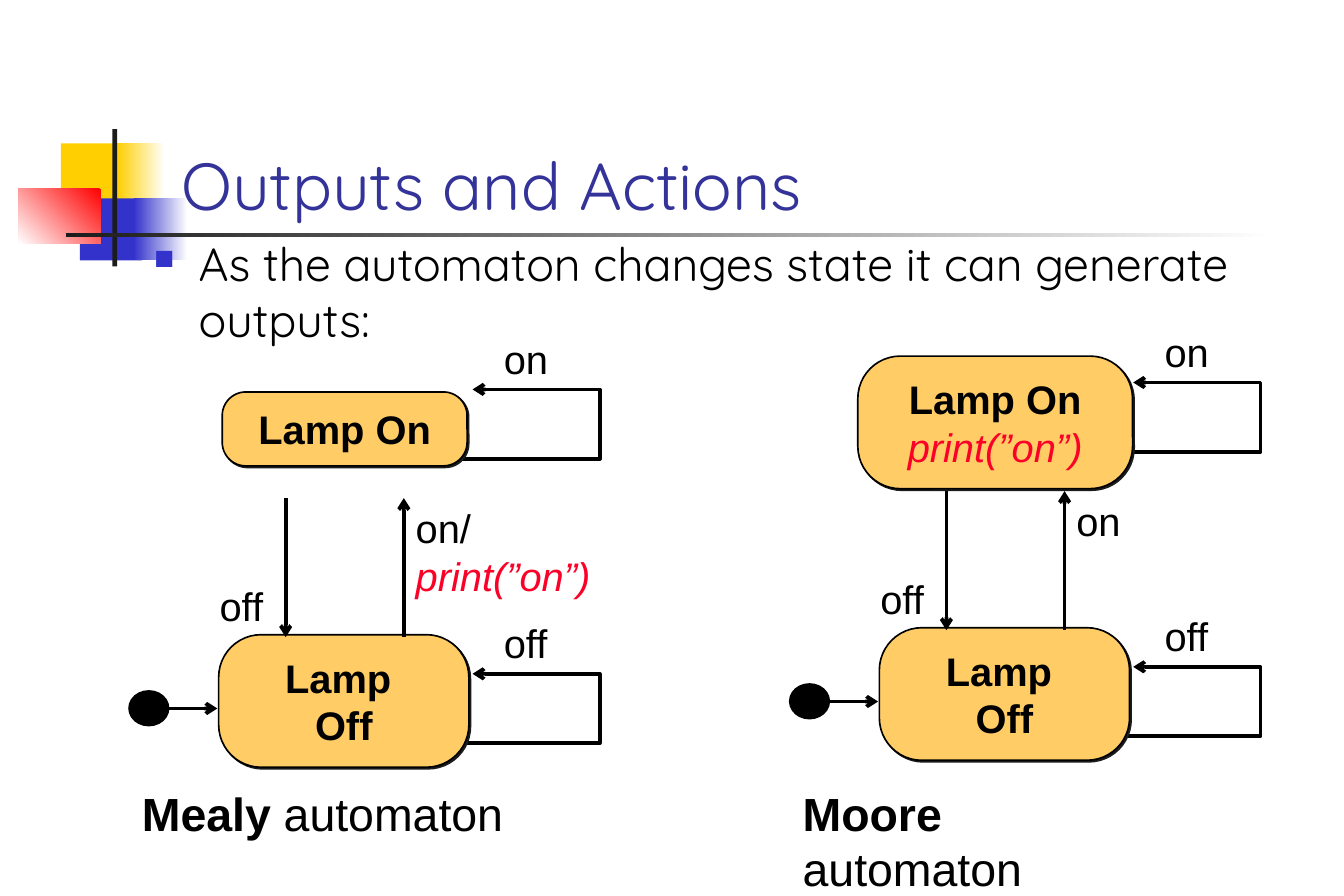
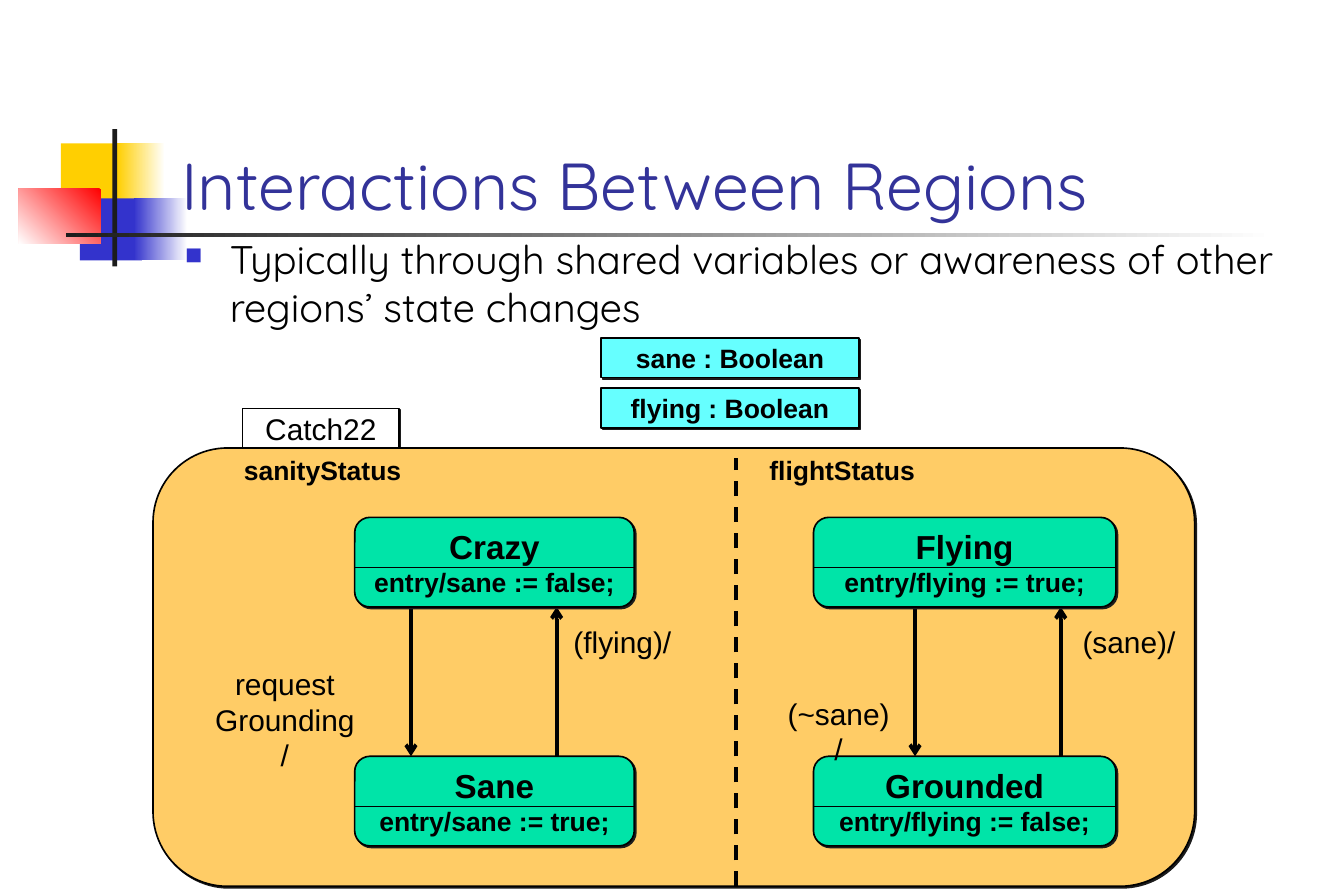
from dataclasses import dataclass
from typing import NamedTuple, Optional

from lxml.etree import SubElement
from pptx import Presentation
from pptx.dml.color import RGBColor
from pptx.enum.dml import MSO_LINE
from pptx.enum.shapes import MSO_CONNECTOR, MSO_SHAPE as SHAPE
from pptx.enum.text import MSO_ANCHOR as ANCHOR, PP_ALIGN as ALIGN
from pptx.oxml.ns import qn
from pptx.util import Pt

COLORS = {
    "black": "000000", "white": "FFFFFF", "ink": "1C1C1C",
    "yellow": "FFCF01", "blue": "3333CC", "red": "FF0000",
    "title": "333399", "state": "FFCC66", "output": "FC0128",
    "substate": "00E4A8", "variable": "66FFFF",
}
HEAD_FONT, LABEL_FONT = "Quicksand", "Arial"


class Run(NamedTuple):
    text: str
    size: float
    bold: bool = False
    italic: bool = False
    color: str = "black"
    font: str = LABEL_FONT


class Box(NamedTuple):
    x: float
    y: float
    w: float
    h: float

    def moved(self, dx: float, dy: float) -> "Box":
        return Box(self.x + dx, self.y + dy, self.w, self.h)

    def points(self) -> tuple:
        return tuple(Pt(v) for v in self)


class Band(NamedTuple):
    box: Box
    colors: tuple
    angle: float = 180


@dataclass
class Automaton:
    kind: str
    dx: float
    dy: float
    on_box: Box
    on_text: list
    switch_on: list


@dataclass
class Region:
    x: float
    width: float
    down_x: float
    states: tuple


class Label(NamedTuple):
    box: Box
    lines: tuple
    size: float = 18
    bold: bool = False


BANDS = [
    Band(Box(36.7, 86.4, 38.9, 37.4), ("yellow",)),
    Band(Box(70.6, 86.4, 28.8, 37.4), ("white", "yellow")),
    Band(Box(48.2, 119.5, 37.4, 37.4), ("blue",)),
    Band(Box(80.6, 119.5, 32.4, 37.4), ("white", "blue")),
    Band(Box(11.2, 113.8, 49.7, 33.1), ("red", "white"), 225),
    Band(Box(67.7, 77.8, 2.9, 82.8), ("ink",)),
    Band(Box(39.6, 140.4, 728.6, 2.2), ("white", "ink")),
]

AUTOMATA = [
    Automaton("Moore", 398.2, -4.2, Box(517, 214.6, 165.6, 79.9),
              [[Run("Lamp On", 24, True)],
               [Run("print(”on”)", 24, italic=True, color="output")]],
              [Run("on", 24)]),
    Automaton("Mealy", 0, 0, Box(133.9, 236.2, 147.6, 44.6),
              [[Run("Lamp On", 24, True)]],
              [Run("on/", 24), Run("print(”on”)", 24, italic=True, color="output")]),
]

STATE_TOPS, STATE_H = (311.8, 455.8), 54
REGIONS = [
    Region(213.8, 168.5, 247.7,
           (("Crazy", "entry/sane := false;"), ("Sane", "entry/sane := true;"))),
    Region(490.3, 182.2, 551.5,
           (("Flying", "entry/flying := true;"), ("Grounded", "entry/flying := false;"))),
]
REGION_LABELS = [
    Label(Box(139.7, 270, 109.4, 26.6), ("sanityStatus",), 16, True),
    Label(Box(456.5, 270, 102.2, 26.6), ("flightStatus",), 16, True),
    Label(Box(338.4, 372.2, 73.4, 28.8), ("(flying)/",)),
    Label(Box(120.2, 408.2, 103, 50.4), ("request", "Grounding/")),
    Label(Box(645.1, 372.2, 70.6, 28.8), ("(sane)/",)),
    Label(Box(465.1, 426.2, 80.6, 28.8), ("(~sane)/",)),
]


def rgb(name: str) -> RGBColor:
    return RGBColor.from_string(COLORS[name])


def write(tf, paragraphs: list, align=ALIGN.LEFT, anchor=ANCHOR.TOP, wrap: bool = False) -> None:
    tf.word_wrap = wrap
    tf.vertical_anchor = anchor
    for i, runs in enumerate(paragraphs):
        p = tf.paragraphs[0] if i == 0 else tf.add_paragraph()
        p.alignment = align
        p.text = runs[0].text
        for run in runs[1:]:
            p.add_run().text = run.text
        styles = runs if len(runs) > 1 else runs * len(p.runs)
        for r, style in zip(p.runs, styles):
            r.font.name = style.font
            r.font.size = Pt(style.size)
            r.font.bold = style.bold
            r.font.italic = style.italic
            r.font.color.rgb = rgb(style.color)


def add_text(s, box: Box, paragraphs: list, align=ALIGN.LEFT, anchor=ANCHOR.TOP,
             wrap: bool = False):
    tf = s.shapes.add_textbox(*box.points()).text_frame
    write(tf, paragraphs, align, anchor, wrap)
    return tf


def add_band(s, band: Band) -> None:
    sp = s.shapes.add_shape(SHAPE.RECTANGLE, *band.box.points())
    sp.shadow.inherit = False
    sp.line.fill.background()
    if len(band.colors) == 1:
        sp.fill.solid()
        sp.fill.fore_color.rgb = rgb(band.colors[0])
        return
    sp.fill.gradient()
    sp.fill.gradient_angle = band.angle
    for stop, color in zip(sp.fill.gradient_stops, band.colors):
        stop.color.rgb = rgb(color)


def add_box(s, kind, box: Box, fill: str, paragraphs: Optional[list] = None,
            radius: Optional[float] = None, wrap: bool = False, shadow: bool = True) -> None:
    sp = s.shapes.add_shape(kind, *box.points())
    if radius is not None:
        sp.adjustments[0] = radius
    sp.fill.solid()
    sp.fill.fore_color.rgb = rgb(fill)
    sp.line.color.rgb = rgb("black")
    sp.line.width = Pt(1)
    sp.shadow.inherit = False
    if shadow:
        effects = sp.element.spPr.find(qn("a:effectLst"))
        outer = SubElement(effects, qn("a:outerShdw"), dist=str(Pt(1.4)), dir="2700000",
                           algn="ctr", rotWithShape="0")
        SubElement(outer, qn("a:srgbClr"), val=COLORS["ink"])
    if paragraphs:
        write(sp.text_frame, paragraphs, ALIGN.CENTER, ANCHOR.MIDDLE, wrap)


def style_line(sp, width: float, arrow: bool, dash: bool = False) -> None:
    sp.line.color.rgb = rgb("black")
    sp.line.width = Pt(width)
    if dash:
        sp.line.dash_style = MSO_LINE.DASH
    if arrow:
        SubElement(sp.element.spPr.find(qn("a:ln")), qn("a:tailEnd"), type="arrow")


def add_line(s, start: tuple, end: tuple, width: float = 2.25, arrow: bool = True,
             dash: bool = False) -> None:
    c = s.shapes.add_connector(MSO_CONNECTOR.STRAIGHT, *(Pt(v) for v in start + end))
    style_line(c, width, arrow, dash)
    SubElement(c.element.spPr, qn("a:effectLst"))


def add_loop(s, x: float, y: float) -> None:
    right, bottom = x + 88.4, y + 41.8
    corners = [(x, bottom), (right, bottom), (right, y), (x + 11.8, y)]
    points = [(Pt(px), Pt(py)) for px, py in corners]
    builder = s.shapes.build_freeform(*points[0])
    builder.add_line_segments(points[1:], close=False)
    sp = builder.convert_to_shape()
    sp.fill.background()
    sp.shadow.inherit = False
    style_line(sp, 2.25, True)


def add_bullet(p) -> None:
    pPr = p._p.get_or_add_pPr()
    pPr.set("marL", str(Pt(27)))
    pPr.set("indent", str(-Pt(27)))
    SubElement(SubElement(pPr, qn("a:buClr")), qn("a:srgbClr"), val=COLORS["blue"])
    SubElement(pPr, qn("a:buSzPct"), val="60000")
    SubElement(pPr, qn("a:buChar"), char="■")


def add_slide(prs, title: str, body: str, body_x: float, body_w: float, body_size: float):
    s = prs.slides.add_slide(prs.slide_layouts[6])
    for band in BANDS:
        add_band(s, band)
    add_text(s, Box(102.2, 48.2, 690.5, 90), [[Run(title, 40, color="title", font=HEAD_FONT)]],
             anchor=ANCHOR.BOTTOM, wrap=True)
    tf = add_text(s, Box(body_x, 138.2, body_w, 324), [[Run(body, body_size, font=HEAD_FONT)]],
                  wrap=True)
    add_bullet(tf.paragraphs[0])
    return s


def add_automaton(s, a: Automaton) -> None:
    def at(x: float, y: float) -> tuple:
        return x + a.dx, y + a.dy

    def label(x: float, y: float, runs: list, w: float = 41) -> None:
        add_text(s, Box(*at(x, y), w, 36), [runs])

    for word, drop in (("on", 0), ("off", 171.4)):
        add_loop(s, *at(273, 234.7 + drop))
        label(296.6, 198 + drop, [Run(word, 24)])
    off_box = Box(131.8, 382.5, 150.8, 79.9).moved(a.dx, a.dy)
    add_box(s, SHAPE.ROUNDED_RECTANGLE, a.on_box, "state", a.on_text, 0.32, True)
    add_box(s, SHAPE.ROUNDED_RECTANGLE, off_box, "state", [[Run("Lamp \vOff", 24, True)]],
            0.32, True)
    add_line(s, at(172.2, 300.2), at(172.2, 384))
    label(125.3, 347.2, [Run("off", 24)])
    label(243.4, 300.2, a.switch_on, 152.6 if len(a.switch_on) > 1 else 41)
    add_line(s, at(243.4, 384), at(243.4, 300.2))
    add_line(s, at(90, 427), at(131, 427))
    add_box(s, SHAPE.OVAL, Box(77.8, 416.4, 23.8, 20.9).moved(a.dx, a.dy), "black",
            shadow=False)
    add_text(s, Box(78.5 + a.dx, 469.4, 235, 41),
             [[Run(a.kind, 28, True), Run(" automaton", 28)]])


def add_region(s, region: Region) -> None:
    top, bottom = STATE_TOPS[0] + STATE_H, STATE_TOPS[1]
    up_x = region.down_x + 87.8
    add_line(s, (region.down_x, top), (region.down_x, bottom))
    add_line(s, (up_x, bottom), (up_x, top))
    for y, (name, entry) in zip(STATE_TOPS, region.states):
        add_box(s, SHAPE.ROUNDED_RECTANGLE, Box(region.x, y, region.width, STATE_H), "substate",
                [[Run(name, 20, True)], [Run(entry, 16, True)]], 0.17)
        add_line(s, (region.x, y + 30.2), (region.x + region.width, y + 30.2), 1, False)


def main() -> None:
    prs = Presentation()
    prs.slide_width, prs.slide_height = Pt(810), Pt(540)

    s = add_slide(prs, "Outputs and Actions",
                  "As the automaton changes state it can generate outputs:", 85.7, 688.3, 28)
    for automaton in AUTOMATA:
        add_automaton(s, automaton)

    s = add_slide(prs, "Interactions Between Regions",
                  "Typically through shared variables or awareness of other regions’ state changes",
                  104.4, 688.3, 24)
    add_box(s, SHAPE.RECTANGLE, Box(146.2, 246.2, 94.3, 23.8), "white", [[Run("Catch22", 18)]])
    add_box(s, SHAPE.ROUNDED_RECTANGLE, Box(92.2, 270, 627.8, 264.2), "state", radius=0.17)
    add_line(s, (443.5, 534.2), (443.5, 275.8), arrow=False, dash=True)
    for region in REGIONS:
        add_region(s, region)
    for box, lines, size, bold in REGION_LABELS:
        add_text(s, box, [[Run(line, size, bold)] for line in lines],
                 ALIGN.CENTER, ANCHOR.MIDDLE)
    for i, name in enumerate(("sane", "flying")):
        add_box(s, SHAPE.RECTANGLE, Box(362.2, 203.8 + 30.2 * i, 155.5, 23.8), "variable",
                [[Run(f"{name} : Boolean", 16, True)]])

    prs.save("out.pptx")


if __name__ == "__main__":
    main()
